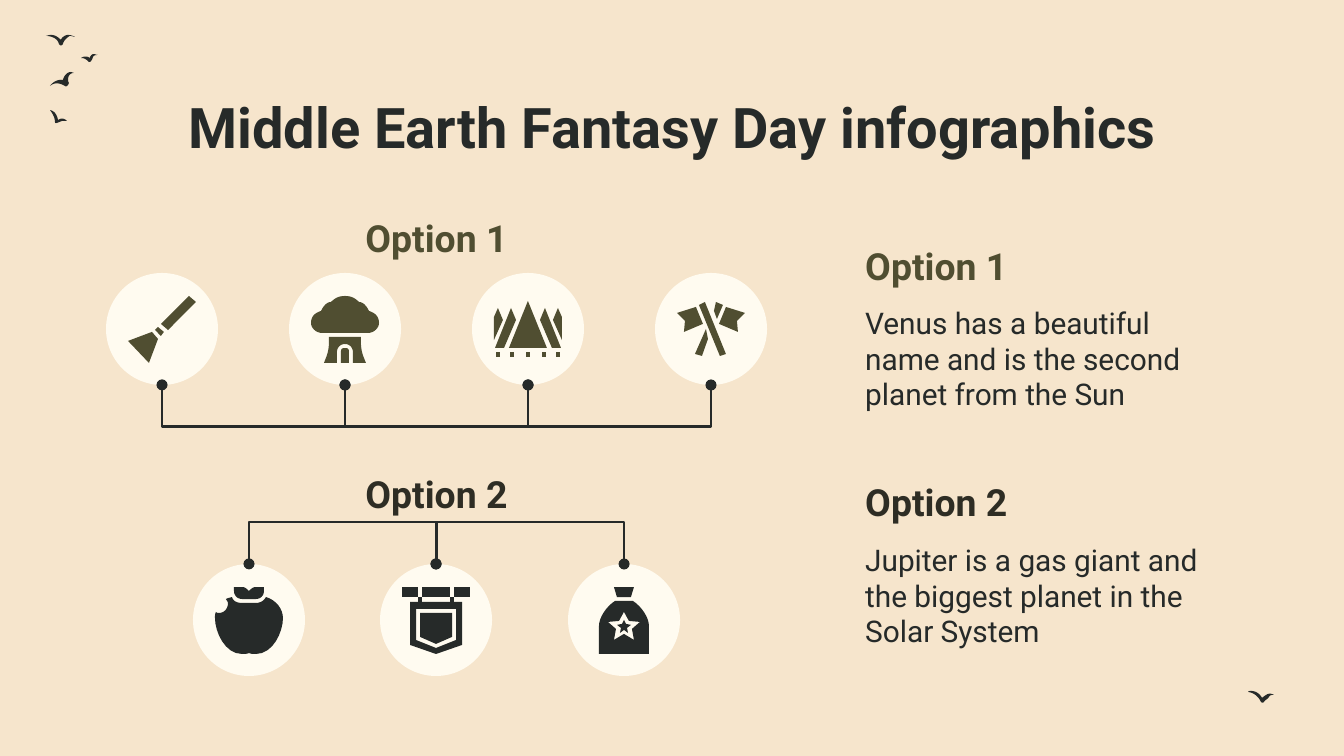
from dataclasses import dataclass

from lxml import etree
from pptx import Presentation
from pptx.dml.color import RGBColor
from pptx.enum.shapes import MSO_CONNECTOR, MSO_SHAPE
from pptx.enum.text import MSO_ANCHOR, PP_ALIGN
from pptx.oxml.ns import qn
from pptx.util import Emu, Pt

ELBOW = MSO_CONNECTOR.ELBOW
OVAL = MSO_SHAPE.OVAL
TOP, BOTTOM = MSO_ANCHOR.TOP, MSO_ANCHOR.BOTTOM
LEFT, CENTER = PP_ALIGN.LEFT, PP_ALIGN.CENTER

SCALE = 914400 / 134.4
DIAMETER = 112
DEPTH = 42
ELBOW_WIDTH = 720
CURVE_STEPS = 8


@dataclass(frozen=True)
class Theme:
    background: str = "F6E5CC"
    disc: str = "FFFBF0"
    ink: str = "262A29"
    olive: str = "504E31"
    dark: str = "2E2D24"
    font: str = "Roboto"
    title: int = 30
    heading: int = 20
    body: int = 16


THEME = Theme()


def px(value):
    return Emu(round(value * SCALE))


def box(left, top, right, bottom):
    return [(left, top), (right, top), (right, bottom), (left, bottom)]


def mirror(points):
    return [(-x, y) for x, y in points]


BIRDS = [
    [[(68, 35), (66, 35, 62, 37, 61, 40), (58, 37, 55, 35, 51, 35), (49, 35, 47, 36, 46, 36),
      (52, 36, 58, 39, 59, 44), (60, 46, 62, 46, 63, 44), (64, 40, 68, 37, 70, 36),
      (72, 36, 74, 37, 75, 37), (73, 36, 71, 35, 68, 35)]],
    [[(71, 72), (67, 72, 64, 76, 63, 80), (58, 79, 53, 82, 50, 86), (55, 82, 60, 83, 65, 86),
      (66, 87, 68, 86, 69, 83), (67, 80, 68, 73, 74, 73)]],
    [[(50, 110), (53, 114, 55, 118, 55, 122), (55, 124, 57, 123, 62, 121), (67, 121),
      (64, 118, 61, 118, 58, 120), (57, 114, 54, 111, 50, 110)]],
    [[(94, 54), (92, 54, 90, 56, 90, 58), (87, 56, 84, 56, 81, 58), (85, 58, 87, 60, 89, 62),
      (91, 62, 92, 60, 93, 57), (94, 55, 96, 55, 98, 55), (96, 55, 95, 54, 94, 54)]],
    [[(1251, 691), (1250, 691, 1249, 691, 1248, 692), (1254, 693, 1258, 696, 1261, 702),
      (1262, 703, 1263, 703, 1264, 702), (1265, 700, 1268, 699, 1269, 697),
      (1270, 695, 1272, 695, 1274, 695), (1270, 693, 1268, 693, 1262, 698),
      (1260, 694, 1256, 691, 1251, 691)]],
]

BROOM = [
    [[(-10, 3), (-34, 12), (-13, 34), (-4, 10)]],
    [[(-4, -2), (-7, 1), (-1, 7), (2, 3)]],
    [[(27, -33), (-1, -5), (6, 1), (34, -27)]],
]
TREE_HOUSE = [
    [[(0, 19), (-3, 19, -4, 20, -4, 23), (-4, 34), (4, 34), (4, 23), (4, 20, 3, 19, 0, 19)]],
    [[(-16, 8), (-16, 14), (-16, 19, -17, 24, -19, 29), (-21, 34), (-8, 34), (-8, 23),
      (-8, 19, -5, 15, 0, 15), (5, 15, 8, 19, 8, 23), (8, 34), (21, 34), (19, 29),
      (17, 24, 16, 19, 16, 14), (16, 8)]],
    [[(0, -33), (-6, -33, -10, -31, -14, -27), (-16, -27, -18, -26, -20, -24),
      (-22, -22, -23, -20, -24, -18), (-27, -17, -29, -16, -31, -14),
      (-33, -12, -34, -9, -34, -6), (-34, -1, -29, 4, -23, 4), (23, 4),
      (29, 4, 34, -1, 34, -6), (34, -9, 33, -12, 31, -14), (29, -16, 27, -17, 24, -18),
      (23, -20, 22, -22, 20, -24), (18, -26, 16, -27, 14, -27), (10, -31, 6, -33, 0, -33)]],
]
EDGE_TREE = [(-30, -21), (-34, -12), (-34, 11), (-25, -9)]
INNER_TREE = [(-17, -21), (-33, 19), (-24, 19), (-12, -9)]
FOREST = [[box(x, 23, x + 4, 28)] for x in (-32, -18, -2, 14, 28)] + [
    [[(0, -28), (-19, 19), (19, 19)]],
    [EDGE_TREE], [mirror(EDGE_TREE)], [INNER_TREE], [mirror(INNER_TREE)],
]
AXE_HEAD = [(15, -22), (8, -5), (27, 3), (26, -8), (34, -16)]
AXES = [
    [[(5, -27), (3, -18), (6, -10), (12, -24)]],
    [[(-5, 0), (-16, 25), (-9, 27), (-3, 10)]],
    [AXE_HEAD], [mirror(AXE_HEAD)],
    [[(-6, -27), (-12, -24), (9, 27), (15, 25)]],
]
APPLE = [
    [[(17, -23), (15, -19, 11, -17, 7, -17), (-7, -17), (-12, -17, -16, -19, -17, -23),
      (-20, -22, -21, -22, -23, -21), (-22, -19, -21, -18, -21, -17),
      (-21, -11, -25, -7, -30, -7), (-31, -7, -32, -7, -33, -8), (-34, -6, -34, -4, -34, -2),
      (-34, 12, -24, 34, -7, 34), (-4, 34, -2, 34, 0, 33), (2, 34, 4, 34, 7, 34),
      (24, 34, 34, 12, 34, -2), (34, -11, 27, -20, 17, -23)]],
    [[(-15, -33), (-15, -29), (-15, -25, -12, -21, -7, -21), (7, -21),
      (12, -21, 15, -25, 15, -29), (15, -33), (7, -33), (4, -33, 2, -31, 0, -29),
      (-2, -31, -4, -33, -7, -33)]],
]
BANNER = [
    [[(-16, -7), (-16, 17), (0, 24), (16, 17), (16, -7)]],
    [box(-14, -33, 14, -23)], [box(-34, -33, -18, -23)], [box(18, -33, 34, -23)],
    [[(20, -11), (20, 20), (0, 28), (-20, 20), (-20, -11)],
     [(-18, -23), (-18, -18), (-26, -18), (-26, 25), (0, 34), (26, 25), (26, -18),
      (18, -18), (18, -23), (14, -23), (14, -18), (-14, -18), (-14, -23)]],
]
MONEY_BAG = [
    [[(-10, -33), (-7, -23), (7, -23), (10, -33)]],
    [[(0, -8), (5, 1), (16, 2), (8, 9), (10, 20), (0, 14), (-10, 20), (-8, 9), (-16, 2), (-5, 1)],
     [(-9, -19), (-18, -13, -25, -2, -25, 6), (-25, 34), (25, 34), (25, 6),
      (25, -2, 18, -13, 9, -19)]],
    [[(0, 0), (-2, 4), (-7, 5), (-3, 8), (-4, 13), (0, 10), (4, 13), (3, 8), (7, 5), (2, 4)]],
]


def paint(shape, color):
    shape.fill.solid()
    shape.fill.fore_color.rgb = RGBColor.from_string(color)
    shape.line.fill.background()
    shape.shadow.inherit = False


def flatten(contour, x, y):
    points = [contour[0]]
    for segment in contour[1:]:
        if len(segment) == 2:
            points.append(segment)
            continue
        x0, y0 = points[-1]
        x1, y1, x2, y2, x3, y3 = segment
        for step in range(1, CURVE_STEPS + 1):
            t = step / CURVE_STEPS
            a, b, c, d = (1 - t) ** 3, 3 * t * (1 - t) ** 2, 3 * t * t * (1 - t), t ** 3
            points.append((a * x0 + b * x1 + c * x2 + d * x3, a * y0 + b * y1 + c * y2 + d * y3))
    return [(px(x + dx), px(y + dy)) for dx, dy in points]


def add_drawing(slide, outlines, color, x=0, y=0):
    shapes = slide.shapes.add_group_shape().shapes
    for outline in outlines:
        contours = [flatten(contour, x, y) for contour in outline]
        builder = shapes.build_freeform(*contours[0][0], scale=1.0)
        builder.add_line_segments(contours[0][1:], close=True)
        for contour in contours[1:]:
            builder.move_to(*contour[0])
            builder.add_line_segments(contour[1:], close=True)
        paint(builder.convert_to_shape(), color)


def add_bracket(slide, start, end, y, depth):
    middle, half = (start + end) / 2, (end - start) / 2
    connector = slide.shapes.add_connector(
        ELBOW, px(middle), px(y - half), px(middle), px(y + half))
    connector.width = Emu(ELBOW_WIDTH)
    connector.line.width = Pt(1.5)
    connector.line.color.rgb = RGBColor.from_string(THEME.ink)
    properties = connector._element.spPr
    transform = properties.find(qn("a:xfrm"))
    transform.set("rot", "16200000")
    transform.set("flipH", "1")
    guides = properties.find(qn("a:prstGeom")).find(qn("a:avLst"))
    ratio = round(px(depth) / ELBOW_WIDTH * 100000)
    etree.SubElement(guides, qn("a:gd"), name="adj1", fmla=f"val {ratio}")
    line = properties.find(qn("a:ln"))
    for end_name in ("a:headEnd", "a:tailEnd"):
        etree.SubElement(line, qn(end_name), type="oval")
    etree.SubElement(properties, qn("a:effectLst"))


def add_icon_row(slide, icons, first, last, top, color, line_y, depth):
    radius = DIAMETER // 2
    centers = [first + (last - first) * i // (len(icons) - 1) for i in range(len(icons))]
    for center in centers:
        paint(slide.shapes.add_shape(
            OVAL, px(center - radius), px(top), px(DIAMETER), px(DIAMETER)), THEME.disc)
    for start, end in zip(centers, centers[1:]):
        add_bracket(slide, start, end, line_y, depth)
    for icon, center in zip(icons, centers):
        add_drawing(slide, icon, color, center, top + radius)


def write(shape, text, size, color, bold=False, align=LEFT, anchor=TOP):
    frame = shape.text_frame
    frame.text = text
    frame.word_wrap = True
    frame.vertical_anchor = anchor
    frame.margin_left = frame.margin_right = frame.margin_top = frame.margin_bottom = Emu(91440)
    paragraph = frame.paragraphs[0]
    paragraph.alignment = align
    font = paragraph.runs[0].font
    font.name, font.size, font.bold = THEME.font, Pt(size), bold
    font.color.rgb = RGBColor.from_string(color)


def add_title(slide, text):
    title = slide.shapes.title
    title.left, title.top, title.width, title.height = px(106), px(79), px(1133), px(85)
    write(title, text, THEME.title, THEME.ink, True, CENTER)


def add_heading(slide, text, left, top, width, color, align=LEFT):
    shape = slide.shapes.add_textbox(px(left), px(top), px(width), px(67))
    write(shape, text, THEME.heading, color, True, align, BOTTOM)


def add_description(slide, text, top):
    shape = slide.shapes.add_textbox(px(852), px(top), px(387), px(122))
    write(shape, text, THEME.body, THEME.ink)


def main():
    presentation = Presentation()
    presentation.slide_width, presentation.slide_height = px(1344), px(756)
    slide = presentation.slides.add_slide(presentation.slide_layouts[5])
    slide.background.fill.solid()
    slide.background.fill.fore_color.rgb = RGBColor.from_string(THEME.background)

    add_drawing(slide, BIRDS, THEME.ink)
    add_title(slide, "Middle Earth Fantasy Day infographics")
    add_icon_row(slide, [BROOM, TREE_HOUSE, FOREST, AXES], 162, 711, 273, THEME.olive, 385, DEPTH)
    add_icon_row(slide, [APPLE, BANNER, MONEY_BAG], 249, 624, 564, THEME.ink, 564, -DEPTH)

    options = [
        ("Option 1", THEME.olive, 206, 234,
         "Venus has a beautiful name and is the second planet from the Sun"),
        ("Option 2", THEME.dark, 462, 471,
         "Jupiter is a gas giant and the biggest planet in the Solar System"),
    ]
    for name, color, label_top, heading_top, description in options:
        add_heading(slide, name, 290, label_top, 293, color, CENTER)
        add_heading(slide, name, 852, heading_top, 387, color)
        add_description(slide, description, heading_top + 57)
    presentation.save("out.pptx")


if __name__ == "__main__":
    main()
